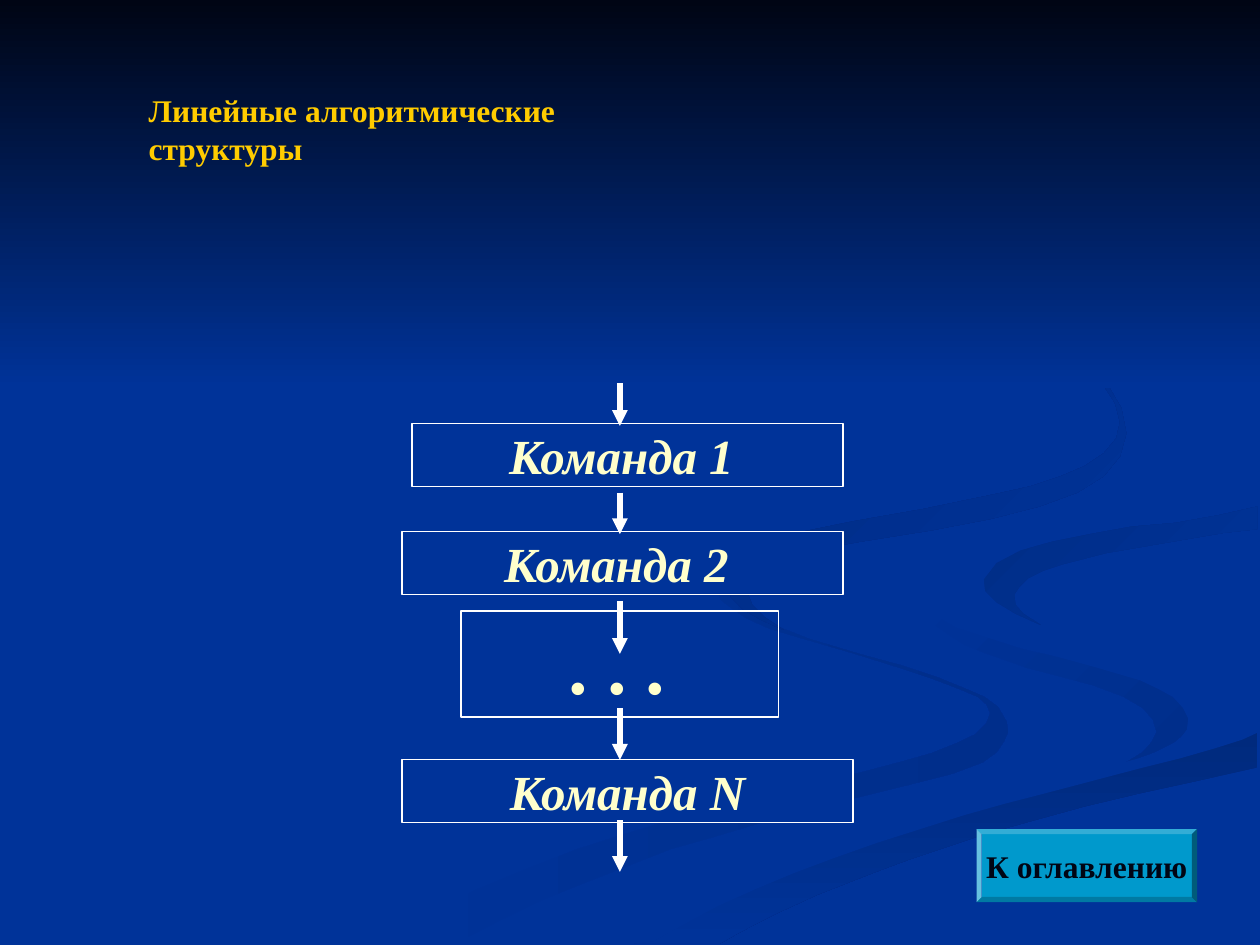
import pptx
import pptx.dml.color
import pptx.enum.dml
import pptx.enum.shapes
import pptx.enum.text
import pptx.oxml
import pptx.oxml.ns
import pptx.util

RGB = pptx.dml.color.RGBColor
BLUE = RGB(0x00, 0x33, 0x99)
NIGHT = RGB(0x00, 0x05, 0x14)
WHITE = RGB(0xFF, 0xFF, 0xFF)
CREAM = RGB(0xFF, 0xFF, 0xCC)
GOLD = RGB(0xFF, 0xCC, 0x00)
TEAL = RGB(0x00, 0x99, 0xCC)
SHADES = {
    "soft": RGB(0x00, 0x2E, 0x8B),
    "dark": RGB(0x00, 0x2A, 0x7D),
    "middle": RGB(0x00, 0x2D, 0x86),
    "deep": RGB(0x00, 0x2B, 0x82),
}

COLUMNS, ROWS = 1000, 750
UNIT = pptx.util.Inches(10) // COLUMNS
AXIS = 492
BOX_HEIGHT = 50
ALIGN = pptx.enum.text.PP_ALIGN
ANCHOR = pptx.enum.text.MSO_ANCHOR
PRESET = pptx.enum.shapes.MSO_SHAPE

LABEL = {"name": "Times New Roman", "size": pptx.util.Pt(18), "bold": True}
COMMAND = {**LABEL, "size": pptx.util.Pt(28), "italic": True}
DOTS = {**COMMAND, "size": pptx.util.Pt(44)}

LEFT_RIBBON = """
781,553 767,547 745,538 715,528 682,519 642,507 614,496 594,485 583,477 576,469
574,464 575,459 570,468 572,476 581,483 593,491 611,499 631,505 679,519 714,530
741,539 762,547 776,553 783,559 786,566 783,574 774,583 759,590 739,598 714,605
684,613 652,620 616,629 579,639 539,649 499,661 458,674 417,690 376,707 338,727
300,749 361,749 396,731 431,714 466,700 499,687 532,674 564,665 594,656 623,647
651,640 676,634 721,623 756,614 780,605 791,597 797,588 800,581 799,573 792,561"""
RIGHT_RIBBON = """
943,570 939,562 930,553 919,547 905,540 888,535 850,524 811,515 774,503 758,498
745,490 733,483 727,474 724,464 725,474 730,483 739,494 755,505 766,512 781,518
815,530 838,536 868,544 892,553 907,562 915,571 918,581 914,589 907,597 894,605
916,597 932,589 941,581 943,576"""
LOWER_RIBBON = """
519,747 503,749 571,749 587,740 614,726 649,710 695,692 722,682 752,672 785,661
821,651 861,640 903,630 949,620 998,609 998,581 985,587 963,594 936,602 903,610
831,629 779,642 764,647 696,669 662,681 630,693 599,706 569,719 543,733"""
WIDE_RIBBON = """
725,464 728,474 734,483 745,490 759,498 793,509 831,519 871,530 905,540 920,547
931,553 939,562 943,570 942,579 936,587 926,593 911,600 892,605 869,611 843,618
813,625 780,634 743,643 704,655 663,668 619,684 573,703 526,724 477,749 503,749
519,747 544,733 570,719 599,706 630,693 662,681 696,669 765,647 797,638 832,629
904,610 936,602 964,594 986,587 999,581 999,538 974,534 941,527 904,519 866,509
832,498 804,485 786,473 781,463 786,453 800,442 822,434 850,427 899,418 933,415
968,409 999,402 999,387 962,395 920,401 874,408 830,415 788,422 755,432 732,446
727,454"""
UPPER_RIBBON = """
781,460 782,469 791,478 806,487 826,496 812,487 806,480 805,472 809,466 816,459
828,453 843,448 878,439 936,429 971,423 998,420 998,402 967,409 933,415 898,418
865,424 835,430 810,437 791,447"""
TALL_RIBBON = """
683,430 739,421 786,412 825,402 855,391 876,378 889,362 894,344 890,324 880,307
864,291 843,275 821,261 799,250 780,241 768,235 762,233 783,243 805,254 826,266
846,279 862,292 876,306 885,320 889,335 886,348 876,360 861,370 842,378 818,386
791,392 733,404 676,414 637,422 615,429 597,437 584,446 577,462 580,474 590,484
604,492 622,500 607,490 597,480 593,470 596,461 606,452 624,444 649,436"""
SKY = "0,0 0,308 1000,308 1000,0"

BACKDROP = [
    (LEFT_RIBBON, BLUE, SHADES["soft"], 0),
    (RIGHT_RIBBON, BLUE, SHADES["soft"], 45),
    (LOWER_RIBBON, SHADES["dark"], BLUE, 90),
    (WIDE_RIBBON, BLUE, BLUE, 0),
    (UPPER_RIBBON, SHADES["middle"], BLUE, 45),
    (TALL_RIBBON, SHADES["deep"], BLUE, 45),
    (SKY, NIGHT, BLUE, 90),
]
STEPS = [
    ("Команда 1 ", 327, 336, 342),
    ("Команда 2 ", 319, 422, 350),
    ("Команда N", 319, 603, 358),
]
ARROWS = [(304, 338), (391, 424), (477, 519), (651, 692), (562, 603)]


def place(box, left, top, width, height):
    """Put a box on the slide grid."""
    spots = {"left": left, "top": top, "width": width, "height": height}
    for name, cells in spots.items():
        setattr(box, name, cells * UNIT)


def write(box, lines, style, colour, align, anchor, wrap=False):
    """Fill a box with one formatted paragraph per line."""
    frame = box.text_frame
    frame.auto_size = pptx.enum.text.MSO_AUTO_SIZE.NONE
    frame.word_wrap = wrap
    frame.vertical_anchor = anchor
    for index, line in enumerate(lines):
        para = frame.add_paragraph() if index else frame.paragraphs[0]
        para.alignment = align
        span = para.add_run()
        span.text = line
        span.font.color.rgb = colour
        for name, value in style.items():
            setattr(span.font, name, value)


def add_ribbon(page, outline, start, end, angle):
    """Draw a borderless outline with a two-colour gradient."""
    points = [tuple(map(int, pair.split(","))) for pair in outline.split()]
    builder = page.shapes.build_freeform(*points[0], scale=UNIT)
    builder.add_line_segments(points[1:], close=True)
    ribbon = builder.convert_to_shape()
    ribbon.shadow.inherit = False
    ribbon.line.fill.background()
    if start == end:
        ribbon.fill.solid()
        ribbon.fill.fore_color.rgb = start
        return
    ribbon.fill.gradient()
    ribbon.fill.gradient_angle = -angle % 360
    for stop, colour in zip(ribbon.fill.gradient_stops, (start, end)):
        stop.color.rgb = colour


def add_box(page, preset, spot, fill=None, border=None):
    """Draw a preset shape with an optional fill and border."""
    box = page.shapes.add_shape(preset, *(cells * UNIT for cells in spot))
    box.shadow.inherit = False
    for paint, colour in ((box.fill, fill), (box.line.fill, border)):
        if colour is None:
            paint.background()
        else:
            paint.solid()
            paint.fore_color.rgb = colour
    if border is not None:
        box.line.width = pptx.util.Pt(0.75)
    return box


def add_arrow(page, top, bottom):
    """Draw a downward arrow on the flowchart axis."""
    ends = (cells * UNIT for cells in (AXIS, top, AXIS, bottom))
    arrow = page.shapes.add_connector(pptx.enum.shapes.MSO_CONNECTOR.STRAIGHT, *ends)
    arrow.line.color.rgb = WHITE
    arrow.line.width = pptx.util.Pt(3)
    head = pptx.oxml.parse_xml(
        f'<a:tailEnd {pptx.oxml.ns.nsdecls("a")} type="triangle"/>')
    arrow.line.fill
    arrow.element.spPr.find(pptx.oxml.ns.qn("a:ln")).append(head)
    arrow.element.spPr.append(
        pptx.oxml.parse_xml(f'<a:effectLst {pptx.oxml.ns.nsdecls("a")}/>'))


def add_title(page, lines):
    """Move the title in front of the backdrop and write it."""
    title = page.shapes.title
    title.element.getparent().append(title.element)
    place(title, 108, 67, 783, 155)
    write(title, lines, LABEL, GOLD, ALIGN.LEFT, ANCHOR.TOP)


def main():
    """Build the slide on linear algorithms."""
    deck = pptx.Presentation()
    deck.slide_width, deck.slide_height = COLUMNS * UNIT, ROWS * UNIT
    page = deck.slides.add_slide(deck.slide_layouts[5])
    page.background.fill.solid()
    page.background.fill.fore_color.rgb = BLUE
    for ribbon in BACKDROP:
        add_ribbon(page, *ribbon)
    add_title(page, ["Линейные алгоритмические", "структуры"])
    for text, left, top, width in STEPS:
        box = add_box(page, PRESET.RECTANGLE, (left, top, width, BOX_HEIGHT), BLUE, WHITE)
        write(box, [text], COMMAND, CREAM, ALIGN.CENTER, ANCHOR.MIDDLE)
    for top, bottom in ARROWS:
        add_arrow(page, top, bottom)
    gap = add_box(page, PRESET.RECTANGLE, (366, 485, 252, 84), border=WHITE)
    write(gap, [". . ."], DOTS, CREAM, ALIGN.CENTER, ANCHOR.TOP, wrap=True)
    button = add_box(page, PRESET.BEVEL, (775, 658, 175, 58), TEAL)
    button.adjustments[0] = 0.07
    write(button, ["К оглавлению"], LABEL, NIGHT, ALIGN.CENTER, ANCHOR.MIDDLE)
    deck.save("out.pptx")


if __name__ == "__main__":
    main()
